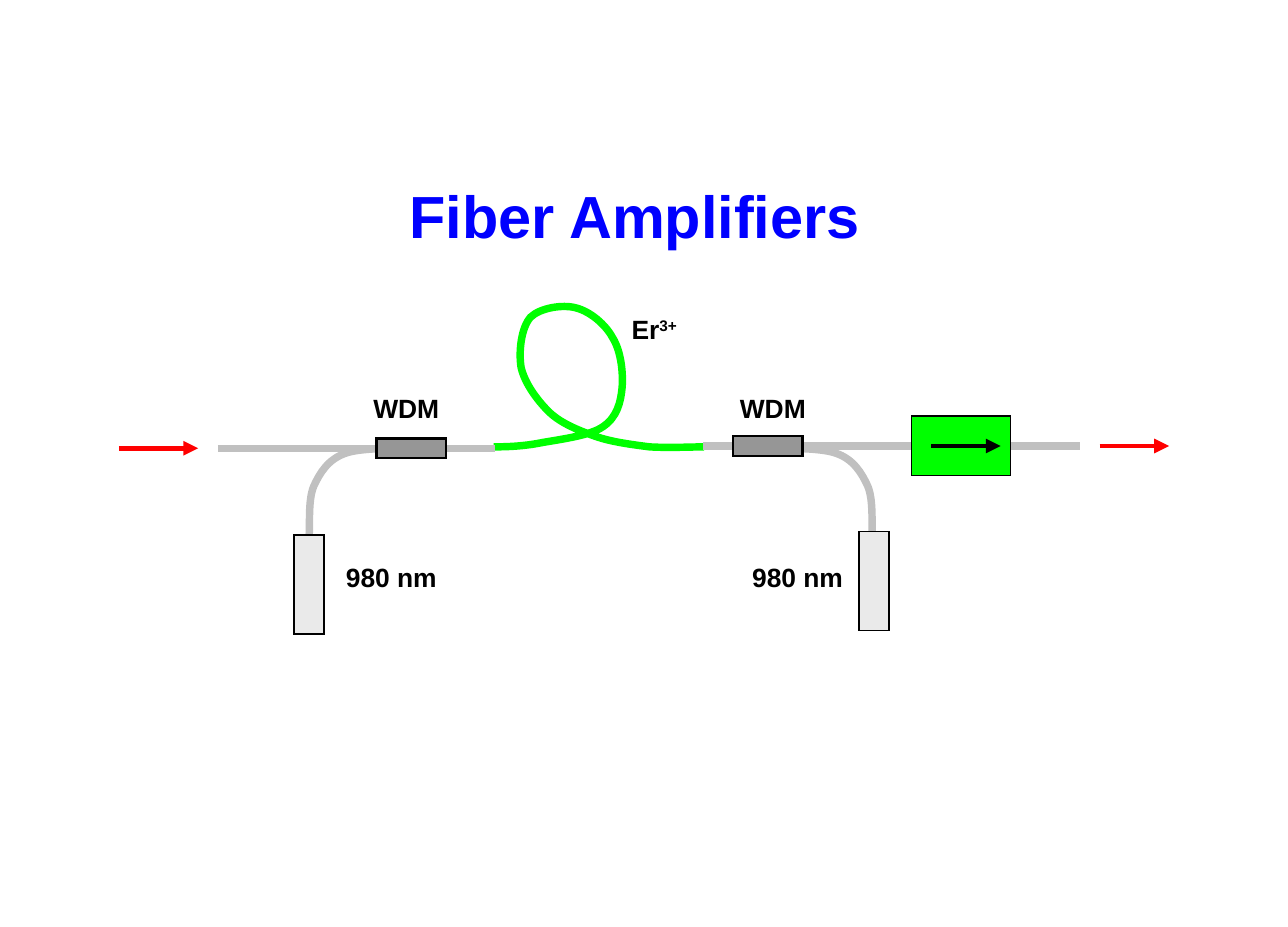
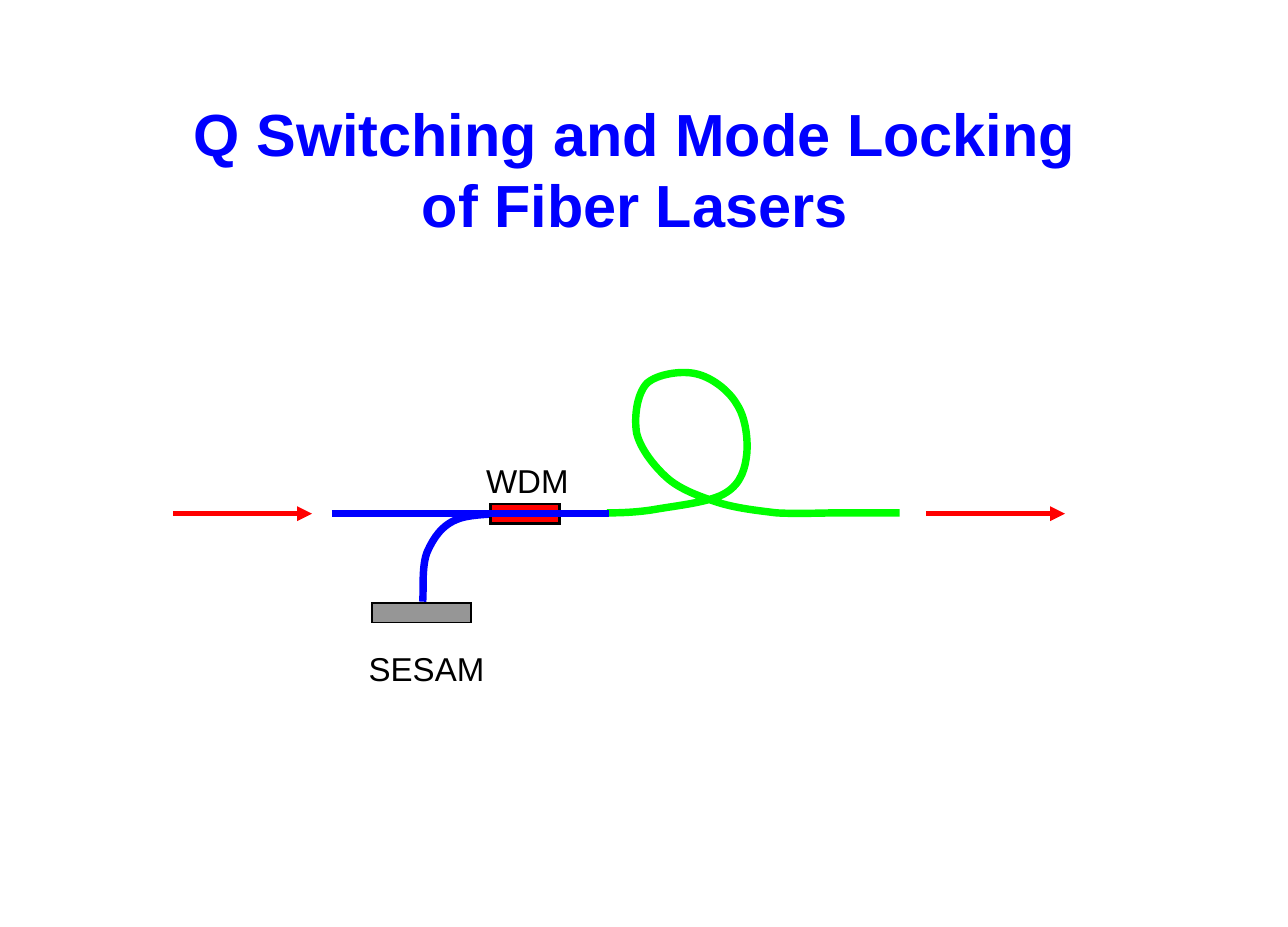
from dataclasses import dataclass

from lxml import etree
from pptx import Presentation
from pptx.dml.color import RGBColor
from pptx.enum.shapes import MSO_CONNECTOR, MSO_SHAPE
from pptx.enum.text import MSO_ANCHOR, PP_ALIGN
from pptx.oxml.ns import qn
from pptx.util import Pt

RECT = MSO_SHAPE.RECTANGLE
STRAIGHT = MSO_CONNECTOR.STRAIGHT
CENTER = PP_ALIGN.CENTER
TOP, MIDDLE = MSO_ANCHOR.TOP, MSO_ANCHOR.MIDDLE


@dataclass(frozen=True)
class Theme:
    font: str = "Arial"
    white: str = "FFFFFF"
    blue: str = "0000FF"
    red: str = "FF0000"
    green: str = "00FF00"
    black: str = "000000"
    fiber: str = "C0C0C0"
    device: str = "969696"
    pump: str = "EAEAEA"
    title_size: float = 36
    label_size: float = 16
    large_label_size: float = 20
    fiber_width: float = 4.5
    arrow_width: float = 3


T = Theme()

# Bezier control points, as offsets from the start of the curve
LOOP = [(0, 0), (4.3, 0), (15.8, 0), (27.4, -2.2),
        (38.2, -4.3), (58.3, -6.5), (66.2, -12.2),
        (74.9, -18), (77, -27.4), (77.8, -36),
        (78.5, -45.4), (77, -58.3), (72, -66.2),
        (67.7, -74.2), (58.3, -82.1), (49.7, -84.2),
        (41.8, -86.4), (28.1, -84.2), (22.3, -78.5),
        (16.6, -72), (15.1, -57.6), (16.6, -48.2),
        (18.7, -38.9), (25.9, -28.8), (33.1, -21.6),
        (40.3, -14.4), (51.1, -10.1), (61.2, -6.5),
        (71.3, -2.9), (83.5, -1.4), (94.3, 0),
        (105.1, 0.7), (121.7, 0), (127.4, 0)]
TAIL = [(138.6, 0), (155.2, 0), (162.7, 0)]
BEND = [(0, 0), (7.2, 0), (33.8, -0.7), (43.9, 2.9),
        (54.7, 6.5), (59.8, 15.1), (63.4, 23),
        (67, 31.7), (65.5, 46.8), (66.2, 53.3)]


def rgb(color):
    return RGBColor.from_string(color)


def set_text(sp, text, *, size=T.label_size, color=T.black, bold=False,
             sup="", anchor=TOP):
    """Centred text in a shape, with an optional superscript at its end."""
    tf = sp.text_frame
    tf.word_wrap = True
    tf.vertical_anchor = anchor
    p = tf.paragraphs[0]
    p.text = text
    p.alignment = CENTER
    if sup:
        r = p.add_run()
        r.text = sup
        r._r.get_or_add_rPr().set("baseline", "30000")
    for r in p.runs:
        r.font.name = T.font
        r.font.size = Pt(size)
        r.font.bold = bold
        r.font.color.rgb = rgb(color)


def add_label(s, text, x, y, w, h, **text_format):
    sp = s.shapes.add_textbox(Pt(x), Pt(y), Pt(w), Pt(h))
    set_text(sp, text, **text_format)


def add_box(s, x, y, w, h, fill, line=1):
    """Filled rectangle with a sharp black outline, or none if line is 0."""
    sp = s.shapes.add_shape(RECT, Pt(x), Pt(y), Pt(w), Pt(h))
    sp.shadow.inherit = False
    sp.fill.solid()
    sp.fill.fore_color.rgb = rgb(fill)
    if line:
        sp.line.color.rgb = rgb(T.black)
        sp.line.width = Pt(line)
        etree.SubElement(sp.line._get_or_add_ln(), qn("a:miter"), lim="800000")
    else:
        sp.line.fill.background()
    return sp


def add_title(s, text, y, h):
    sp = add_box(s, 60.5, y, 648, h, T.white, line=0)
    set_text(sp, text, size=T.title_size, color=T.blue, bold=True,
             anchor=MIDDLE)


def add_line(s, x1, x2, y, color, width=T.fiber_width, arrow=False):
    """Horizontal line, with an optional arrowhead at its right end."""
    sp = s.shapes.add_connector(STRAIGHT, Pt(x1), Pt(y), Pt(x2), Pt(y))
    sp.line.color.rgb = rgb(color)
    sp.line.width = Pt(width)
    if arrow:
        ln = sp.line._get_or_add_ln()
        etree.SubElement(ln, qn("a:tailEnd"), type="triangle")
    etree.SubElement(sp._element.spPr, qn("a:effectLst"))


def add_arrow(s, x1, x2, y, color=T.red):
    add_line(s, x1, x2, y, color, T.arrow_width, arrow=True)


def add_curve(s, controls, x, y, color, x_scale=1.0):
    """Smooth fiber that starts at (x, y)."""
    points = [(Pt(x + dx * x_scale), Pt(y + dy)) for dx, dy in controls]
    builder = s.shapes.build_freeform(*points[0])
    builder.add_line_segments(points[1:], close=False)
    sp = builder.convert_to_shape()
    # Join every three straight segments into one cubic curve
    outline = sp._element.find(".//" + qn("a:path"))
    segments = outline.findall(qn("a:lnTo"))
    for i in range(0, len(segments), 3):
        cubic = etree.SubElement(outline, qn("a:cubicBezTo"))
        for segment in segments[i:i + 3]:
            cubic.append(segment[0])
            outline.remove(segment)
    sp.shadow.inherit = False
    sp.fill.background()
    sp.line.color.rgb = rgb(color)
    sp.line.width = Pt(T.fiber_width)


def fiber_amplifiers(prs):
    s = prs.slides.add_slide(prs.slide_layouts[6])
    add_title(s, "Fiber Amplifiers", 109.4, 41)
    y_in, y_out = 271.6, 270.2

    # Fibers and signal arrows
    add_curve(s, LOOP, 299, 270.7, T.green)
    add_arrow(s, 72, 120, y_in)
    add_arrow(s, 666, 708, y_out)
    add_curve(s, BEND, 253.4, y_in, T.fiber, x_scale=-1)
    add_line(s, 132, 300, y_in, T.fiber)
    add_line(s, 426, 654, y_out, T.fiber)
    add_curve(s, BEND, 462.2, y_in, T.fiber)

    # Couplers, pumps and isolator
    for x, y in ((444, y_out), (228, y_in)):
        add_box(s, x, y - 6, 42, 12, T.device, 1.5)
    for x, y in ((520.2, 322), (178.2, 324)):
        add_box(s, x, y, 18, 60, T.pump)
    add_box(s, 552, 252, 60, 36, T.green, 0.75)
    add_arrow(s, 564, 606, y_out, T.black)

    # Labels
    for text, x, y, w in (("WDM", 438, 234, 60), ("WDM", 216, 234, 60),
                          ("980 nm", 198, 336.4, 78),
                          ("980 nm", 444, 336.4, 78)):
        add_label(s, text, x, y, w, 26.6, bold=True)
    add_label(s, "Er", 372.2, 186, 48, 26.6, bold=True, sup="3+")


def mode_locking(prs):
    s = prs.slides.add_slide(prs.slide_layouts[6])
    add_title(s, "Q Switching and Mode Locking\vof Fiber Lasers", 54.7, 94.3)
    y = 311.2

    # Active fiber, absorber and signal arrows
    add_curve(s, LOOP + TAIL, 367.5, 310.7, T.green, x_scale=1.09)
    add_box(s, 225.2, 365.2, 60, 12, T.device)
    add_arrow(s, 105, 189, y)
    add_arrow(s, 561, 645, y)

    # Passive fiber with its coupler and labels
    add_curve(s, BEND, 322.2, y, T.blue, x_scale=-1)
    for text, x, top, w in (("SESAM", 215.8, 389.5, 85),
                            ("WDM", 286.6, 275.4, 65.5)):
        add_label(s, text, x, top, w, 31.7, size=T.large_label_size)
    add_box(s, 297, y - 6, 42, 12, T.red, 1.5)
    add_line(s, 201, 369, y, T.blue)


def main():
    prs = Presentation()
    prs.slide_width, prs.slide_height = Pt(780), Pt(561.6)
    fiber_amplifiers(prs)
    mode_locking(prs)
    prs.save("out.pptx")


if __name__ == "__main__":
    main()
